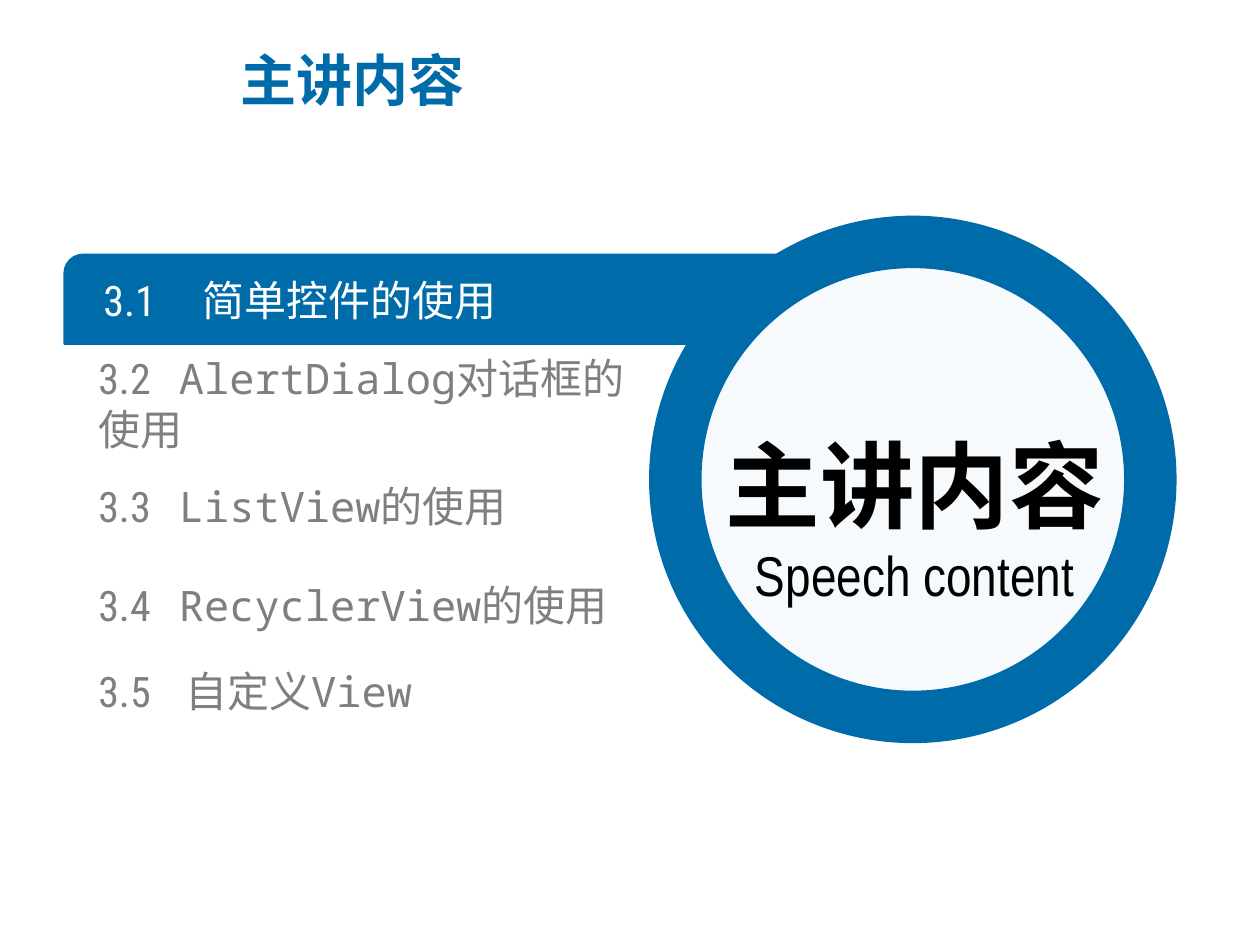
import pptx
import pptx.dml.color
import pptx.enum.shapes
import pptx.enum.text
import pptx.util
from lxml import etree

WIDE, HIGH = pptx.util.Inches(10), pptx.util.Inches(7.5)
UNIT = WIDE // 100  # square grid: 100 columns by 75 rows
BLUE, GREY, PALE, WHITE, BLACK = "006BA9", "7F7F7F", "F6FAFD", "FFFFFF", "000000"
HEAD, BODY, CODE, SUB = "Noto Sans CJK SC", "Roboto Condensed", "Noto Sans Mono", "Arial Narrow"
SHAPE = pptx.enum.shapes.MSO_SHAPE
ALIGN = pptx.enum.text.PP_ALIGN


def color(code):
    return pptx.dml.color.RGBColor.from_string(code)


def grid(box):
    return [round(n * UNIT) for n in box]


def style(run, size, face, code, bold=False):
    font = run.font
    font.size, font.name, font.bold = pptx.util.Pt(size), face, bold
    font.color.rgb = color(code)
    east = etree.SubElement(font._element, pptx.oxml.ns.qn("a:ea"))
    east.set("typeface", HEAD)


def frame(shape, inset=None):
    text = shape.text_frame
    text.word_wrap = True
    text.auto_size = pptx.enum.text.MSO_AUTO_SIZE.NONE
    text.vertical_anchor = pptx.enum.text.MSO_ANCHOR.MIDDLE
    if inset is not None:
        text.margin_left = text.margin_right = inset
        text.margin_top = text.margin_bottom = inset
    return text


def panel(slide, kind, box, fill, weight):
    shape = slide.shapes.add_shape(kind, *grid(box))
    shape.shadow.inherit = False
    shape.fill.solid()
    shape.fill.fore_color.rgb = color(fill)
    shape.line.color.rgb = color(BLUE)
    shape.line.width = pptx.util.Pt(weight)
    return shape


def title(slide, box):
    shape = slide.shapes.title
    shape.left, shape.top, shape.width, shape.height = grid(box)
    text = frame(shape)
    text.text = "主讲内容"
    line = text.paragraphs[0]
    line.alignment = ALIGN.LEFT
    style(line.runs[0], 32, HEAD, BLUE, True)


def entry(slide, box, stop, parts, code):
    """Place one numbered line; its name starts at a tab stop."""
    text = frame(slide.shapes.add_textbox(*grid(box)), 0)
    line = text.paragraphs[0]
    tabs = etree.SubElement(line._p.get_or_add_pPr(), pptx.oxml.ns.qn("a:tabLst"))
    tab = etree.SubElement(tabs, pptx.oxml.ns.qn("a:tab"))
    tab.set("pos", str(round(stop * UNIT)))
    tab.set("algn", "l")
    for part, face in parts:
        run = line.add_run()
        run.text = part
        style(run, 24, face, code)


def banner(slide, box):
    left, top, wide, high = box
    band = panel(slide, SHAPE.ROUND_2_DIAG_RECTANGLE, box, BLUE, 1)
    band.adjustments[0], band.adjustments[1] = 0.21, 0
    entry(slide, (left + 3.1, top + 1.6, 41.9, 4), 7.9,
          [("3.1\t简单控件的使用", BODY)], WHITE)


def topics(slide, box):
    left, top, wide, high = box
    rows = [
        (0, 6.4, [("3.2\t", BODY), ("AlertDialog", CODE), ("对话框的使用", BODY)]),
        (8.1, 6.4, [("3.3\t", BODY), ("ListView", CODE), ("的使用", BODY)]),
        (16, 6.4, [("3.4\t", BODY), ("RecyclerView", CODE), ("的使用", BODY)]),
        (22.8, 6.9, [("3.5\t自定义", BODY), ("View", CODE)]),
    ]
    for drop, stop, parts in rows:
        entry(slide, (left, top + drop, wide, high), stop, parts, GREY)


def badge(slide, box):
    left, top, wide, high = box
    panel(slide, SHAPE.OVAL, box, PALE, 30)
    label = slide.shapes.add_textbox(*grid((left - 0.5, top + 9.6, wide + 1.3, 20)))
    text = frame(label)
    text.text = "主讲内容\nSpeech content"
    looks = [(54, HEAD, BLACK, True), (32, SUB, BLACK)]
    for line, look in zip(text.paragraphs, looks):
        line.alignment = ALIGN.CENTER
        style(line.runs[0], *look)
    text.paragraphs[0].line_spacing = 1.5


def main():
    deck = pptx.Presentation()
    deck.slide_width, deck.slide_height = WIDE, HIGH
    slide = deck.slides.add_slide(deck.slide_layouts.get_by_name("Title Only"))
    title(slide, (18.1, 2.1, 56.3, 8.4))
    banner(slide, (5.1, 20.2, 63.8, 7.1))
    topics(slide, (7.8, 30, 44.1, 4))
    badge(slide, (53.6, 19.2, 37.7, 37.7))
    deck.save("out.pptx")


if __name__ == "__main__":
    main()
